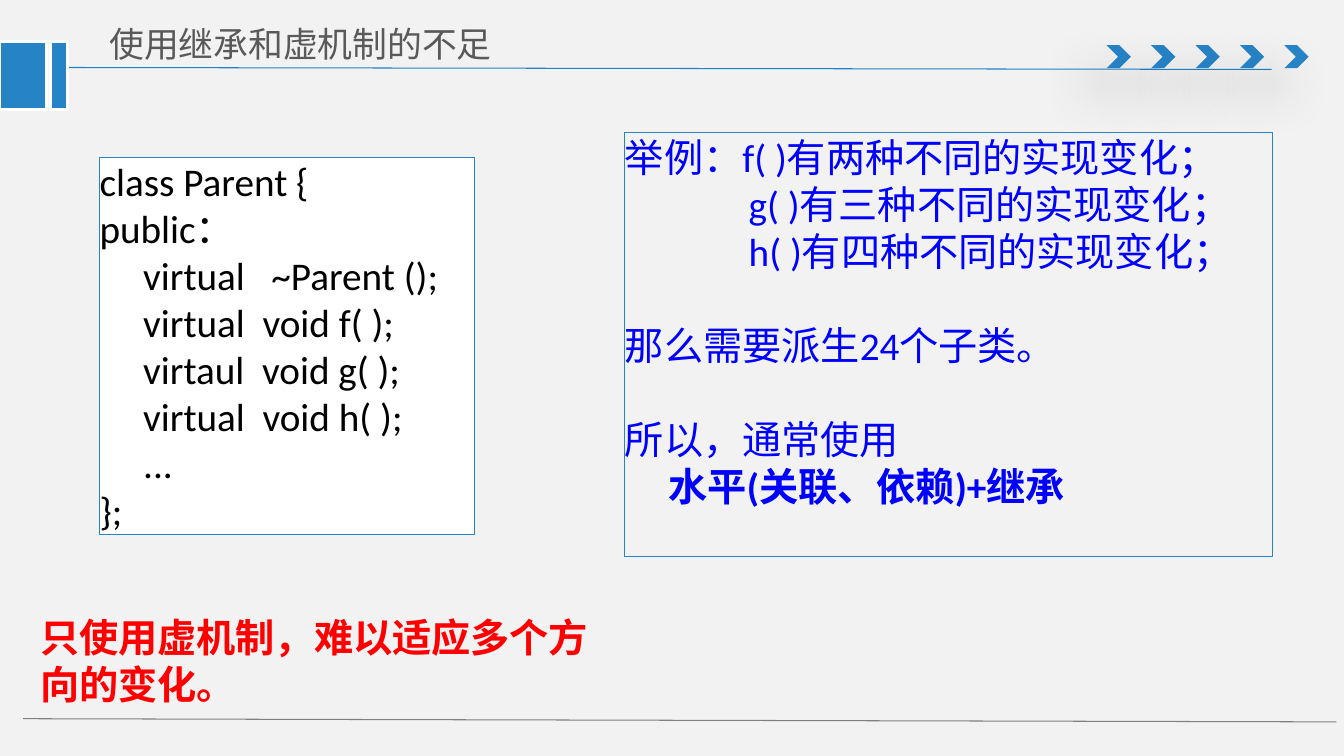
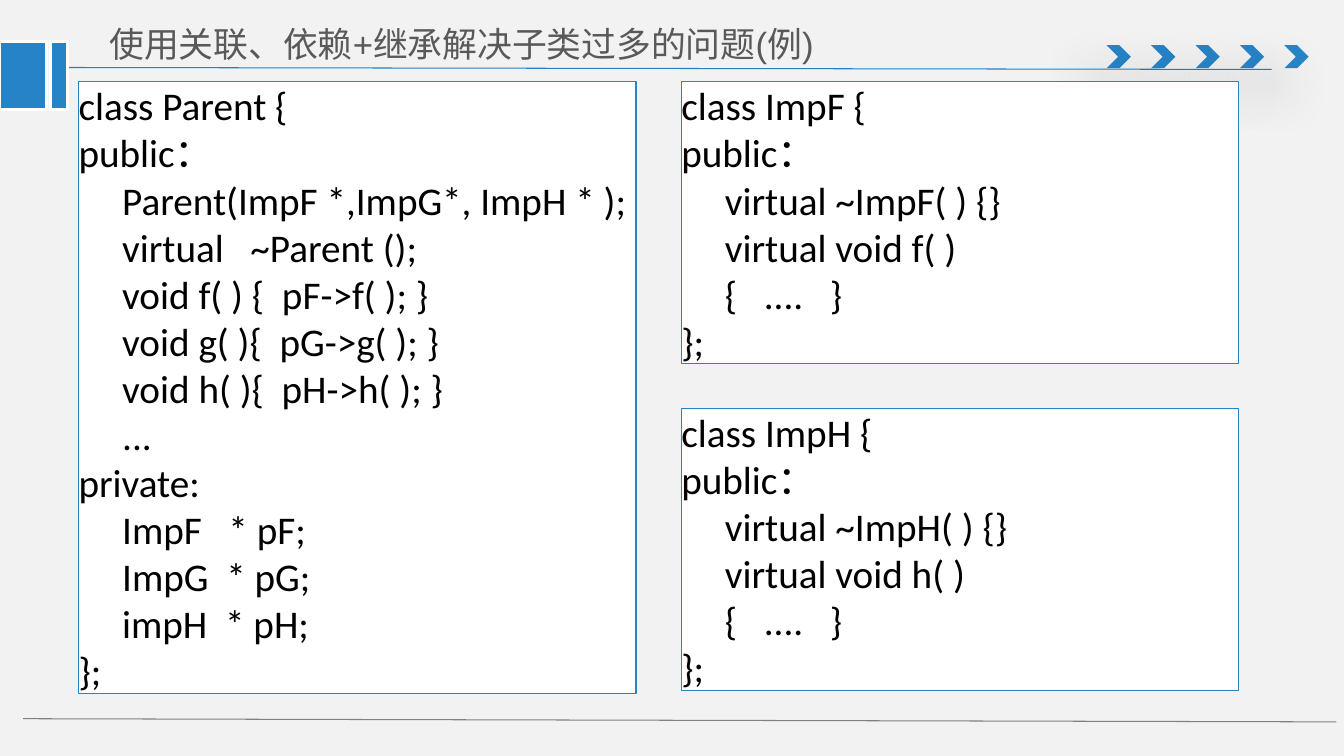
"""Build two slides on replacing deep inheritance with association plus inheritance."""
from lxml import etree
from pptx import Presentation
from pptx.dml.color import RGBColor
from pptx.enum.shapes import MSO_CONNECTOR, MSO_SHAPE
from pptx.enum.text import MSO_ANCHOR, PP_ALIGN
from pptx.oxml.ns import qn
from pptx.util import Cm, Pt

STRAIGHT = MSO_CONNECTOR.STRAIGHT
CHEVRON, RECTANGLE = MSO_SHAPE.CHEVRON, MSO_SHAPE.RECTANGLE
TOP, BOTTOM = MSO_ANCHOR.TOP, MSO_ANCHOR.BOTTOM
LEFT = PP_ALIGN.LEFT

COLORS = {
    "background": "F2F2F2", "accent": "2683C6", "title_rule": "2181C6",
    "footer_rule": "808080", "title": "595959", "white": "FFFFFF",
    "code": "000000", "example": "0000FF", "warning": "FF0000", "shadow": "000000",
}
CODE_INDENT = 1.1
EXAMPLE_INDENT = 3.12
BLANK_LINE = 33.6


def add_shape(slide, preset, box, fill, line, width):
    shape = slide.shapes.add_shape(preset, *map(Cm, box))
    shape.shadow.inherit = False
    if fill:
        shape.fill.solid()
        shape.fill.fore_color.rgb = RGBColor.from_string(COLORS[fill])
    else:
        shape.fill.background()
    if line:
        shape.line.color.rgb = RGBColor.from_string(COLORS[line])
        shape.line.width = Pt(width)
    else:
        shape.line.fill.background()
    return shape


def write(shape, lines, color, size=28, font="Calibri", anchor=TOP, inset=None):
    frame = shape.text_frame
    frame.word_wrap = True
    frame.vertical_anchor = anchor
    if inset is not None:
        frame.margin_left = frame.margin_right = Cm(inset)
        frame.margin_top = frame.margin_bottom = Cm(inset)
    for number, (text, indent, before, bold) in enumerate(lines):
        paragraph = frame.add_paragraph() if number else frame.paragraphs[0]
        paragraph.alignment = LEFT
        if indent:
            paragraph._p.get_or_add_pPr().set("marL", str(Cm(indent)))
        if before:
            paragraph.space_before = Pt(before)
        run = paragraph.add_run()
        run.text = text
        run.font.name = font
        run.font.size = Pt(size)
        run.font.bold = bold
        run.font.color.rgb = RGBColor.from_string(COLORS[color])


PARENT_VIRTUAL = """class Parent {
public：
    virtual   ~Parent ();
    virtual  void f( );
    virtaul  void g( );
    virtual  void h( );
    ...
};"""

PARENT_DELEGATING = """class Parent {
public：
    Parent(ImpF *,ImpG*, ImpH * );
    virtual   ~Parent ();
    void f( ) {  pF->f( ); }
    void g( ){  pG->g( ); }
    void h( ){  pH->h( ); }
    ...
private:
    ImpF   * pF;
    ImpG  * pG;
    impH  * pH;
};"""

IMPLEMENTATION = """class Imp%s {
public：
    virtual ~Imp%s( ) {}
    virtual void %s( )
    {   ....   }
};"""

PAGES = [
    ("使用继承和虚机制的不足", 11.76, [
        ((2.51, 3.96, 9.45, 9.5), PARENT_VIRTUAL),
    ]),
    ("使用关联、依赖+继承解决子类过多的问题(例)", 20.12, [
        ((1.98, 2.06, 14.05, 15.42), PARENT_DELEGATING),
        ((17.17, 2.06, 14.05, 7.11), IMPLEMENTATION % ("F", "F", "f")),
        ((17.17, 10.29, 14.05, 7.11), IMPLEMENTATION % ("H", "H", "h")),
    ]),
]

EXAMPLE = [
    ("举例：f( )有两种不同的实现变化；", 0, 0, False),
    ("g( )有三种不同的实现变化；", EXAMPLE_INDENT, 0, False),
    ("h( )有四种不同的实现变化；", EXAMPLE_INDENT, 0, False),
    ("那么需要派生24个子类。", 0, BLANK_LINE, False),
    ("所以，通常使用", 0, BLANK_LINE, False),
    ("水平(关联、依赖)+继承", CODE_INDENT, 0, True),
]
WARNING = "只使用虚机制，难以适应多个方向的变化。"

RULES = [
    ((1.35, 1.7, 32.05, 1.75), "title_rule"),
    ((0.58, 18.11, 33.68, 18.19), "footer_rule"),
]

prs = Presentation()
prs.slide_width, prs.slide_height = Cm(33.87), Cm(19.05)
backdrop = prs.slide_master.background.fill
backdrop.solid()
backdrop.fore_color.rgb = RGBColor.from_string(COLORS["background"])

slides = []
for title, title_width, listings in PAGES:
    slide = prs.slides.add_slide(prs.slide_layouts[6])
    slides.append(slide)

    for ends, color in RULES:
        rule = slide.shapes.add_connector(STRAIGHT, *map(Cm, ends))
        rule.line.color.rgb = RGBColor.from_string(COLORS[color])
        rule.line.width = Pt(0.75)
        etree.SubElement(rule._element.spPr, qn("a:effectLst"))

    for step in range(5):
        arrow = add_shape(slide, CHEVRON, (27.89 + 1.12 * step, 1.14, 0.61, 0.58),
                          "accent", None, 0)
        effects = arrow._element.spPr.find(qn("a:effectLst"))
        shadow = etree.SubElement(effects, qn("a:outerShdw"), blurRad=str(Pt(36)),
                                  dist=str(Pt(24)), dir=str(130 * 60000))
        tint = etree.SubElement(shadow, qn("a:srgbClr"), val=COLORS["shadow"])
        etree.SubElement(tint, qn("a:alpha"), val="38000")

    for left, width in ((0, 1.17), (1.27, 0.43)):
        add_shape(slide, RECTANGLE, (left, 1.04, width, 1.73), "accent", "white", 2)

    heading = slide.shapes.add_textbox(Cm(2.51), Cm(0.36), Cm(title_width), Cm(1.4))
    write(heading, [(title, 0, 0, False)], "title", 24.9, "Arial", BOTTOM)

    for box, code in listings:
        listing = add_shape(slide, RECTANGLE, box, "white", "accent", 0.75)
        lines = [(line.strip(), CODE_INDENT if line.startswith(" ") else 0, 0, False)
                 for line in code.splitlines()]
        write(listing, lines, "code", inset=0)

example = add_shape(slides[0], RECTANGLE, (15.75, 3.35, 16.33, 10.67), None, "accent", 0.75)
write(example, EXAMPLE, "example", inset=0)

warning = slides[0].shapes.add_textbox(Cm(0.76), Cm(15.32), Cm(15.01), Cm(2.62))
write(warning, [(WARNING, 0, 0, True)], "warning")

prs.save("out.pptx")
